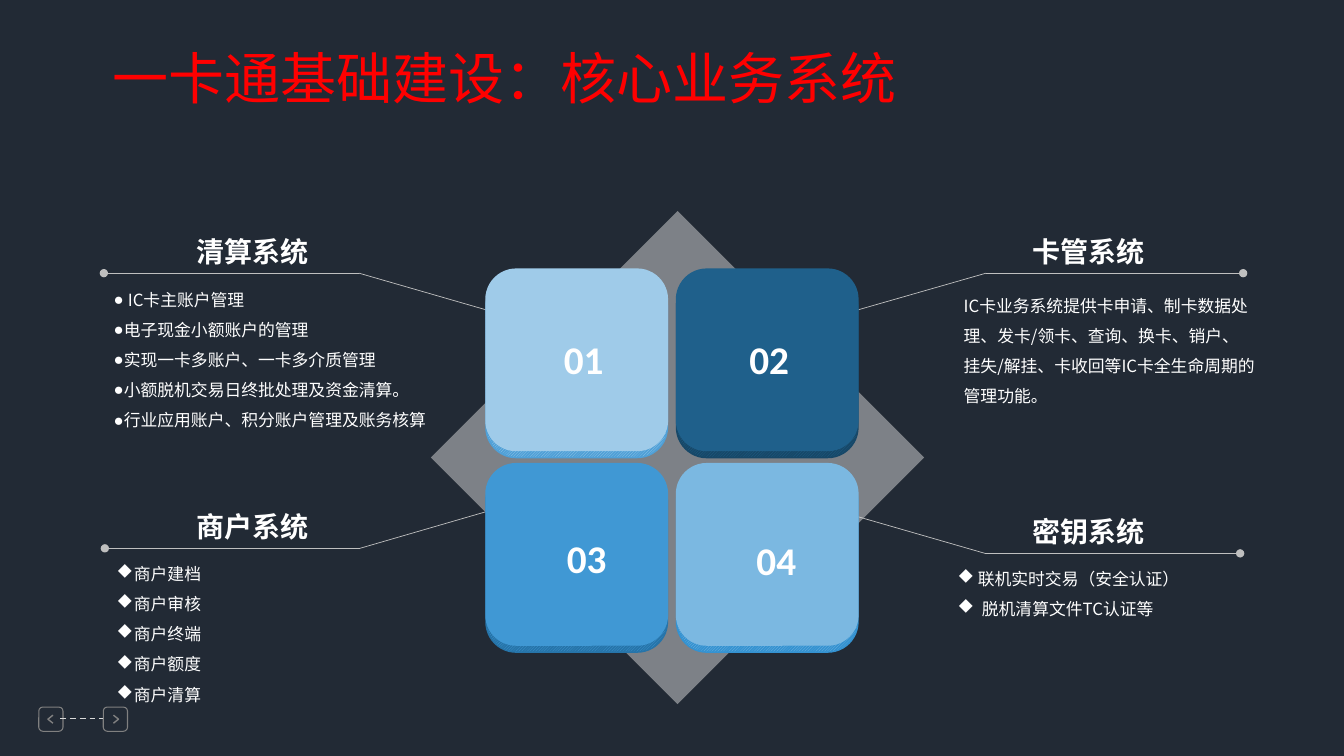
import pptx
import pptx.util
import pptx.dml.color
import pptx.enum.dml
import pptx.enum.shapes
import pptx.enum.text
import pptx.oxml
import pptx.oxml.ns
from pptx.util import Inches

COLORS = {
    "background": "222A35", "title": "FF0000", "text": "FFFFFF",
    "callout": "BFBFBF", "diamond": "D9D9D9", "dash": "D9D9D9", "button": "808080",
}
CJK_FONT = "Noto Sans CJK SC"
ALIGN = pptx.enum.text.PP_ALIGN
SHAPE = pptx.enum.shapes.MSO_SHAPE

TITLE = "一卡通基础建设：核心业务系统"
# number, face colour, side colour, left and top of the number
CARDS = [
    ("01", "9FCBE9", "4FA0D7", 5.49, 3.28),
    ("02", "1F608B", "174868", 7.33, 3.28),
    ("03", "4098D4", "2674A9", 5.52, 5.25),
    ("04", "7BB8E1", "3492D1", 7.4, 5.27),
]
# start at the card, elbow, end
CALLOUTS = [
    ((5.05, 3.14), (3.56, 2.71), (1.03, 2.71)),
    ((5.05, 5.01), (3.57, 5.44), (1.04, 5.44)),
    ((8.28, 3.14), (9.78, 2.71), (12.33, 2.71)),
    ((8.28, 5.06), (9.77, 5.49), (12.3, 5.49)),
]
HEADINGS = [
    ("清算系统", 1.85, 2.28, ALIGN.LEFT),
    ("商户系统", 1.85, 5.01, ALIGN.LEFT),
    ("卡管系统", 9.73, 2.28, ALIGN.RIGHT),
    ("密钥系统", 9.73, 5.06, ALIGN.RIGHT),
]
DISC, DIAMOND = ("Arial", "●"), ("Wingdings", "u")
# box, bullet, lines with their hanging indent
DETAILS = [
    ((1.03, 2.72, 3.7, 1.62), DISC, [
        ("IC卡主账户管理", 0.14),
        ("电子现金小额账户的管理", 0.1),
        ("实现一卡多账户、一卡多介质管理", 0.1),
        ("小额脱机交易日终批处理及资金清算。", 0.1),
        ("行业应用账户、积分账户管理及账务核算", 0.1),
    ]),
    ((1.06, 5.44, 4.06, 1.62), DIAMOND, [
        ("商户建档", 0.17), ("商户审核", 0.17), ("商户终端", 0.17),
        ("商户额度", 0.17), ("商户清算", 0.17),
    ]),
    ((9.46, 2.78, 3.09, 1.62), None, [
        ("IC卡业务系统提供卡申请、制卡数据处理、发卡/领卡、查询、换卡、销户、"
         "挂失/解挂、卡收回等IC卡全生命周期的管理功能。", 0),
    ]),
    ((9.4, 5.49, 3.11, 0.71), DIAMOND, [
        ("联机实时交易（安全认证）", 0.2),
        ("脱机清算文件TC认证等", 0.24),
    ]),
]
CARD_SIZE, CARD_LEFT, CARD_TOP = 1.8, 4.82, 2.67
COLUMN_STEP, ROW_STEP, CARD_DEPTH = 1.89, 1.93, 0.07
# button left, chevron points from the button's top left corner
BUTTONS = [
    (0.385, [(0.14, 0.08), (0.09, 0.12), (0.14, 0.16)]),
    (1.025, [(0.1, 0.08), (0.15, 0.12), (0.1, 0.16)]),
]
BUTTON_TOP, BUTTON_SIZE = 7.015, 0.24


def rgb(value):
    return pptx.dml.color.RGBColor.from_string(value)


def append_xml(parent, tag, **attributes):
    element = pptx.oxml.parse_xml(f"<a:{tag} {pptx.oxml.ns.nsdecls('a')}/>")
    for name, value in attributes.items():
        element.set(name, value)
    parent.append(element)
    return element


def set_line(shape, color, points):
    shape.line.color.rgb = rgb(color)
    shape.line.width = pptx.util.Pt(points)


def add_preset(slide, kind, left, top, size):
    shape = slide.shapes.add_shape(kind, *map(Inches, (left, top, size, size)))
    shape.shadow.inherit = False
    return shape


def add_line(slide, start, end, color, points):
    line = slide.shapes.add_connector(
        pptx.enum.shapes.MSO_CONNECTOR.STRAIGHT, *map(Inches, start + end))
    set_line(line, color, points)
    append_xml(line._element.spPr, "effectLst")
    return line


def add_text(slide, box, lines, size, color=COLORS["text"], font=CJK_FONT, bold=False,
             align=ALIGN.LEFT, spacing=None, bullet=None, wrap=True):
    """Add a text box; lines are pairs of text and hanging indent in inches."""
    frame = slide.shapes.add_textbox(*map(Inches, box)).text_frame
    frame.word_wrap = wrap
    for index, (text, indent) in enumerate(lines):
        paragraph = frame.add_paragraph() if index else frame.paragraphs[0]
        paragraph.alignment = align
        if spacing:
            paragraph.line_spacing = spacing
        if bullet:
            properties = paragraph._p.get_or_add_pPr()
            properties.set("marL", str(Inches(indent)))
            properties.set("indent", str(-Inches(indent)))
            append_xml(properties, "buFont", typeface=bullet[0])
            append_xml(properties, "buChar", char=bullet[1])
        run = paragraph.add_run()
        run.text = text
        run.font.size = pptx.util.Pt(size)
        run.font.bold = bold
        run.font.name = font
        run.font.color.rgb = rgb(color)
        append_xml(run._r.get_or_add_rPr(), "ea", typeface=font)


def add_button(slide, left, chevron):
    frame = add_preset(slide, SHAPE.ROUNDED_RECTANGLE, left, BUTTON_TOP, BUTTON_SIZE)
    frame.fill.background()
    set_line(frame, COLORS["button"], 0.75)
    points = [(Inches(left + x), Inches(BUTTON_TOP + y)) for x, y in chevron]
    builder = slide.shapes.build_freeform(*points[0])
    builder.add_line_segments(points[1:], close=False)
    arrow = builder.convert_to_shape()
    arrow.shadow.inherit = False
    arrow.fill.background()
    set_line(arrow, COLORS["button"], 1)


def add_callout(slide, start, elbow, end):
    add_line(slide, start, elbow, COLORS["callout"], 0.5)
    rule = add_line(slide, elbow, end, COLORS["callout"], 0.5)
    append_xml(rule.line._get_or_add_ln(), "tailEnd", type="oval")


def add_card(slide, index, face_color, side_color):
    row, column = divmod(index, 2)
    left = CARD_LEFT + column * COLUMN_STEP
    top = CARD_TOP + row * ROW_STEP
    side = add_preset(slide, SHAPE.ROUNDED_RECTANGLE, left, top + CARD_DEPTH, CARD_SIZE)
    side.fill.patterned()
    side.fill.pattern = pptx.enum.dml.MSO_PATTERN.DARK_UPWARD_DIAGONAL
    side.fill.fore_color.rgb = rgb(face_color)
    side.fill.back_color.rgb = rgb(side_color)
    set_line(side, side_color, 1)
    face = add_preset(slide, SHAPE.ROUNDED_RECTANGLE, left, top, CARD_SIZE)
    face.fill.solid()
    face.fill.fore_color.rgb = rgb(face_color)
    set_line(face, face_color, 1)


def main():
    presentation = pptx.Presentation()
    presentation.slide_width = Inches(13.33)
    presentation.slide_height = Inches(7.5)
    slide = presentation.slides.add_slide(presentation.slide_layouts[6])
    slide.background.fill.solid()
    slide.background.fill.fore_color.rgb = rgb(COLORS["background"])

    for left, chevron in BUTTONS:
        add_button(slide, left, chevron)
    dash = add_line(slide, (0.6, 7.13), (1.02, 7.13), COLORS["dash"], 1)
    dash.line.dash_style = pptx.enum.dml.MSO_LINE.DASH
    for callout in CALLOUTS:
        add_callout(slide, *callout)

    diamond = add_preset(slide, SHAPE.RECTANGLE, 4.99, 2.81, 3.46)
    diamond.rotation = 45
    diamond.fill.solid()
    diamond.fill.fore_color.rgb = rgb(COLORS["diamond"])
    diamond.line.fill.background()
    fill_color = diamond._element.spPr.find(".//" + pptx.oxml.ns.qn("a:srgbClr"))
    append_xml(fill_color, "alpha", val="50000")

    for index, (_, face_color, side_color, _, _) in enumerate(CARDS):
        add_card(slide, index, face_color, side_color)
    for text, left, top, align in HEADINGS:
        add_text(slide, (left, top, 1.72, 0.44), [(text, 0)], 20, bold=True, align=align)
    for box, bullet, lines in DETAILS:
        add_text(slide, box, lines, 12, spacing=1.5, bullet=bullet)
    add_text(slide, (0.58, 0.38, 8.85, 1.45), [(TITLE, 0)], 40,
             color=COLORS["title"], align=ALIGN.CENTER)
    for number, _, _, left, top in CARDS:
        add_text(slide, (left, top, 0.6, 0.57), [(number, 0)], 28, font="Calibri",
                 bold=True, align=ALIGN.CENTER, wrap=False)

    presentation.save("out.pptx")


if __name__ == "__main__":
    main()
